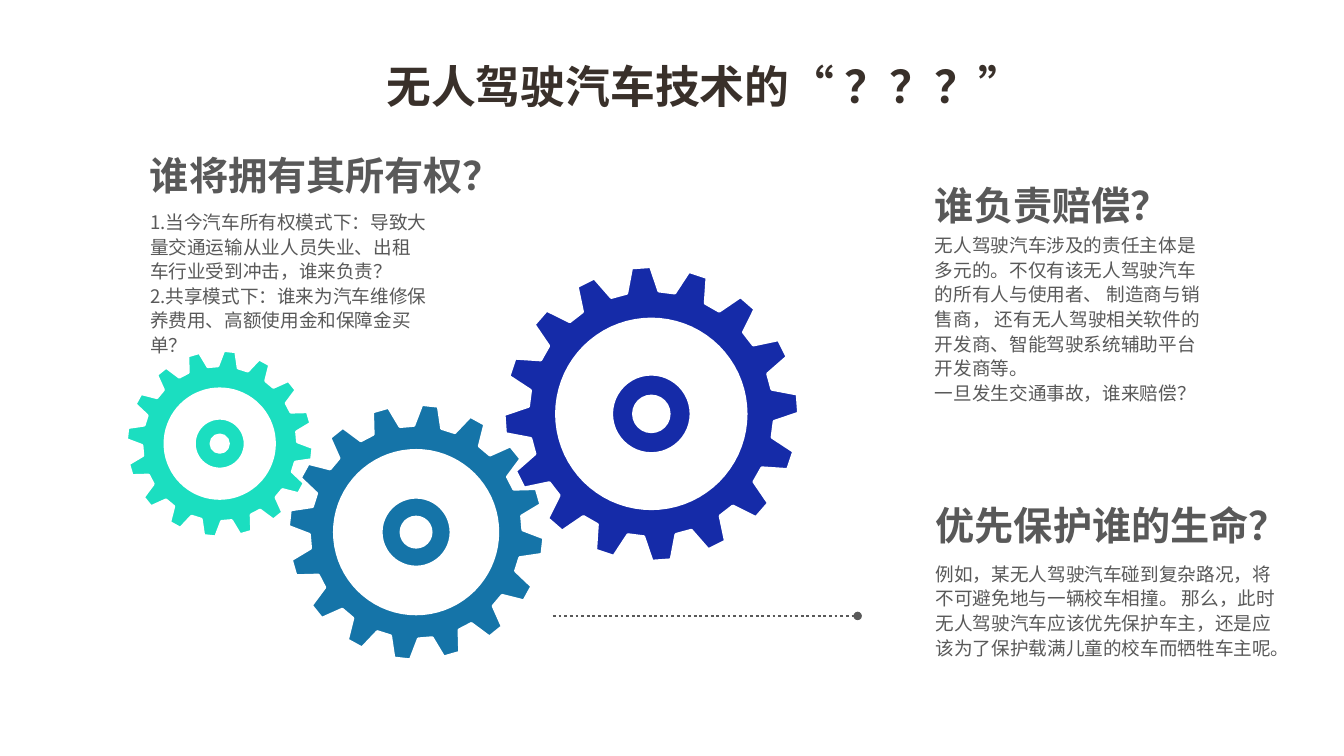
from dataclasses import dataclass
from math import cos, radians, sin

from lxml import etree
from pptx import Presentation
from pptx.dml.color import RGBColor
from pptx.enum.dml import MSO_LINE
from pptx.enum.lang import MSO_LANGUAGE_ID
from pptx.enum.shapes import MSO_CONNECTOR, MSO_SHAPE
from pptx.enum.text import MSO_ANCHOR, MSO_AUTO_SIZE, PP_ALIGN
from pptx.oxml.ns import qn
from pptx.util import Cm, Pt

FONT = "Noto Sans CJK JP"
WHITE = "FFFFFF"
GREY = "595959"
BROWN = "39302A"
LEFT, CENTER = PP_ALIGN.LEFT, PP_ALIGN.CENTER
TOP = MSO_ANCHOR.TOP
GROW = MSO_AUTO_SIZE.SHAPE_TO_FIT_TEXT
DOTTED = MSO_LINE.ROUND_DOT
STRAIGHT = MSO_CONNECTOR.STRAIGHT
DONUT = MSO_SHAPE.DONUT
CHINESE = MSO_LANGUAGE_ID.SIMPLIFIED_CHINESE

TEETH = 16
TIP_HALF_ANGLE = 3.7
ROOT_HALF_ANGLE = 7.5
HOLE_STEP = 5


@dataclass(frozen=True)
class Area:
    left: float
    top: float
    width: float
    height: float


@dataclass(frozen=True)
class TextStyle:
    size: float
    color: str
    bold: bool = False
    align: PP_ALIGN = LEFT
    line_spacing: float = 1.0


@dataclass(frozen=True)
class TextBlock:
    area: Area
    lines: tuple[str, ...]
    style: TextStyle


@dataclass(frozen=True)
class Gear:
    x: float
    y: float
    tip: float
    root: float
    hole: float
    hub: float
    bore: float
    turn: float
    color: str


TITLE = TextStyle(32, BROWN, bold=True, align=CENTER)
HEADING = TextStyle(28, GREY, bold=True)
BODY = TextStyle(13.3, GREY, line_spacing=1.1)

GEARS = (
    Gear(16.42, 10.43, 3.71, 3.1, 2.39, 1.0, 0.45, -4, "152BA8"),
    Gear(10.49, 13.41, 3.22, 2.69, 2.06, 0.88, 0.38, 6.3, "1574A8"),
    Gear(5.54, 11.18, 2.35, 1.96, 1.38, 0.64, 0.22, 6.2, "1BDEC0"),
)

SLIDE_TITLE = TextBlock(Area(7.98, 1.35, 19.6, 1.63), ("无人驾驶汽车技术的“ ？？？”",), TITLE)
OWNERSHIP_LIST = TextBlock(
    Area(3.53, 5.13, 7.5, 4.01),
    (
        "1.当今汽车所有权模式下：导致大量交通运输从业人员失业、出租车行业受到冲击，谁来负责？",
        "2.共享模式下：谁来为汽车维修保养费用、高额使用金和保障金买单？",
    ),
    BODY,
)
TEXT_BOXES = (
    TextBlock(Area(3.53, 3.68, 9.5, 1.45), ("谁将拥有其所有权？",), HEADING),
    TextBlock(Area(23.32, 4.45, 7.5, 1.45), ("谁负责赔偿？",), HEADING),
    TextBlock(
        Area(23.32, 5.72, 7.5, 4.65),
        (
            "无人驾驶汽车涉及的责任主体是多元的。不仅有该无人驾驶汽车的所有人与使用者、 制造商与销售商， "
            "还有无人驾驶相关软件的开发商、智能驾驶系统辅助平台开发商等。",
            "一旦发生交通事故，谁来赔偿？",
        ),
        BODY,
    ),
    TextBlock(Area(23.34, 12.52, 9.6, 1.45), ("优先保护谁的生命？",), HEADING),
    TextBlock(
        Area(23.34, 14, 9.42, 2.77),
        (
            "例如，某无人驾驶汽车碰到复杂路况，将不可避免地与一辆校车相撞。 那么，此时无人驾驶汽车"
            "应该优先保护车主，还是应该为了保护载满儿童的校车而牺牲车主呢。",
        ),
        BODY,
    ),
)


def rgb(color: str) -> RGBColor:
    return RGBColor.from_string(color)


def apply(target, values: dict) -> None:
    for name, value in values.items():
        setattr(target, name, value)


def write_block(box, block: TextBlock) -> None:
    area, style = block.area, block.style
    apply(box, {
        "left": Cm(area.left), "top": Cm(area.top),
        "width": Cm(area.width), "height": Cm(area.height),
    })
    frame = box.text_frame
    apply(frame, {"word_wrap": True, "auto_size": GROW, "vertical_anchor": TOP})
    for index, line in enumerate(block.lines):
        para = frame.add_paragraph() if index else frame.paragraphs[0]
        properties = para._p.get_or_add_pPr()
        apply_indent = {"marL": "0", "indent": "0"}
        for name, value in apply_indent.items():
            properties.set(name, value)
        etree.SubElement(properties, qn("a:buNone"))
        apply(para, {
            "alignment": style.align, "line_spacing": style.line_spacing,
            "space_before": Pt(0), "space_after": Pt(0),
        })
        span = para.add_run()
        span.text = line
        apply(span.font, {
            "name": FONT, "size": Pt(style.size), "bold": style.bold, "language_id": CHINESE,
        })
        span.font.color.rgb = rgb(style.color)
        etree.SubElement(span._r.get_or_add_rPr(), qn("a:ea"), typeface=FONT)


def paint(shape, color: str) -> None:
    shape.shadow.inherit = False
    shape.fill.solid()
    shape.fill.fore_color.rgb = rgb(color)
    shape.line.color.rgb = rgb(WHITE)
    shape.line.width = Pt(2)


def polar(gear: Gear, radius: float, angle: float) -> tuple[int, int]:
    turn = radians(angle)
    return Cm(gear.x + radius * cos(turn)), Cm(gear.y + radius * sin(turn))


def draw_gear(page, gear: Gear) -> None:
    profile = (
        (gear.root, -ROOT_HALF_ANGLE), (gear.tip, -TIP_HALF_ANGLE),
        (gear.tip, TIP_HALF_ANGLE), (gear.root, ROOT_HALF_ANGLE),
    )
    rim = [
        polar(gear, radius, gear.turn + tooth * 360 / TEETH + offset)
        for tooth in range(TEETH)
        for radius, offset in profile
    ]
    hole = [polar(gear, gear.hole, angle) for angle in range(360, 0, -HOLE_STEP)]
    builder = page.shapes.build_freeform(*rim[0])
    builder.add_line_segments(rim[1:], close=True)
    builder.move_to(*hole[0])
    builder.add_line_segments(hole[1:], close=True)
    paint(builder.convert_to_shape(), gear.color)


def draw_hub(page, gear: Gear) -> None:
    size = Cm(2 * gear.hub)
    hub = page.shapes.add_shape(DONUT, Cm(gear.x - gear.hub), Cm(gear.y - gear.hub), size, size)
    hub.adjustments[0] = (gear.hub - gear.bore) / (2 * gear.hub)
    paint(hub, gear.color)


def draw_pointer(page) -> None:
    pointer = page.shapes.add_connector(STRAIGHT, Cm(13.94), Cm(15.52), Cm(21.62), Cm(15.52))
    pointer.line.color.rgb = rgb(GREY)
    apply(pointer.line, {"width": Pt(2), "dash_style": DOTTED})
    etree.SubElement(pointer.line._get_or_add_ln(), qn("a:tailEnd"), type="oval")
    etree.SubElement(pointer._element.spPr, qn("a:effectLst"))


def main() -> None:
    deck = Presentation()
    apply(deck, {"slide_width": Cm(33.88), "slide_height": Cm(19.05)})
    page = deck.slides.add_slide(deck.slide_layouts[1])
    write_block(page.shapes.title, SLIDE_TITLE)
    write_block(page.placeholders[1], OWNERSHIP_LIST)
    for gear in GEARS:
        draw_gear(page, gear)
    for gear in GEARS:
        draw_hub(page, gear)
    draw_pointer(page)
    for block in TEXT_BOXES:
        write_block(page.shapes.add_textbox(0, 0, 0, 0), block)
    deck.save("out.pptx")


if __name__ == "__main__":
    main()
